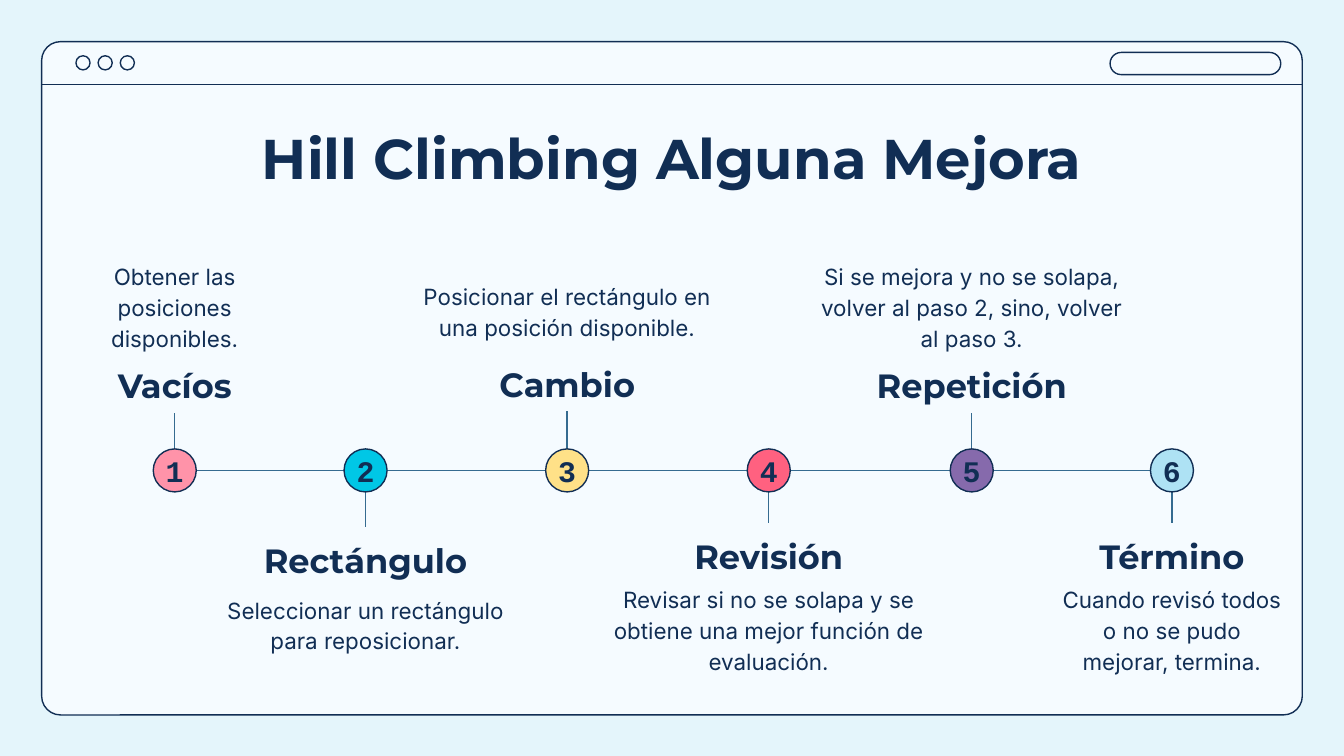
from lxml import etree
from pptx import Presentation
from pptx.dml.color import RGBColor
from pptx.enum.shapes import MSO_CONNECTOR, MSO_SHAPE
from pptx.enum.text import MSO_ANCHOR, MSO_AUTO_SIZE, PP_ALIGN
from pptx.oxml.ns import qn
from pptx.util import Inches, Pt

STRAIGHT = MSO_CONNECTOR.STRAIGHT
OVAL, ROUND = MSO_SHAPE.OVAL, MSO_SHAPE.ROUNDED_RECTANGLE
TOP, MIDDLE, BOTTOM = MSO_ANCHOR.TOP, MSO_ANCHOR.MIDDLE, MSO_ANCHOR.BOTTOM
CENTER, NO_FIT = PP_ALIGN.CENTER, MSO_AUTO_SIZE.NONE

COLUMNS = 100
WIDTH = Inches(10)
HEIGHT = WIDTH * 9 // 16
INK, LINK, PAPER, SKY = "112E54", "356B90", "F5FBFF", "E4F5FB"
HEADING, BODY, DIGIT = "Montserrat", "Inter", "Courier New"
NODE, DIGIT_BOX, NAME_W, NAME_H = 3.2, 3.6, 25.2, 5

STEPS = [
    (9.9, "FF93A9", "Vacíos", 4.3,
     "Obtener las posiciones disponibles.", 7.8, 18.4, 6.3),
    (24.1, "00C7E6", "Rectángulo", 4.2,
     "Seleccionar un rectángulo para reposicionar.", 8.1, 26.3, 6.3),
    (39.1, "FFE188", "Cambio", 4.4,
     "Posicionar el rectángulo en una posición disponible.", 8.6, 25.2, 6.3),
    (54.1, "FF6180", "Revisión", 3.9,
     "Revisar si no se solapa y se obtiene una mejor función de evaluación.",
     7.3, 25.2, 6.3),
    (69.2, "866AAC", "Repetición", 4.3,
     "Si se mejora y no se solapa, volver al paso 2, sino, volver al paso 3.",
     7.8, 25.2, 10.5),
    (84.1, "AEE2F4", "Término", 3.9,
     "Cuando revisó todos o no se pudo mejorar, termina.", 7.3, 18.4, 6.3),
]


def rgb(value):
    return RGBColor.from_string(value)


def grid(*cells):
    return [round(c * WIDTH / COLUMNS) for c in cells]


def write(sp, text, size, font, bold=False, anchor=TOP, spacing=1.0):
    tf = sp.text_frame
    tf.word_wrap = True
    tf.auto_size = NO_FIT
    tf.vertical_anchor = anchor
    tf.margin_left = tf.margin_right = tf.margin_top = tf.margin_bottom = Inches(0.1)
    p = tf.paragraphs[0]
    p.alignment = CENTER
    p.line_spacing = spacing
    r = p.add_run()
    r.text = text
    r.font.size = Pt(size)
    r.font.name = font
    r.font.bold = bold
    r.font.color.rgb = rgb(INK)


def shape(s, kind, box, fill=None):
    sp = s.shapes.add_shape(kind, *grid(*box))
    sp.shadow.inherit = False
    if fill:
        sp.fill.solid()
        sp.fill.fore_color.rgb = rgb(fill)
    else:
        sp.fill.background()
    sp.line.color.rgb = rgb(INK)
    sp.line.width = Pt(0.75)
    return sp


def line(s, start, end, color):
    c = s.shapes.add_connector(STRAIGHT, *grid(*start, *end))
    c.line.color.rgb = rgb(color)
    c.line.width = Pt(0.75)
    etree.SubElement(c._element.spPr, qn("a:effectLst"))
    return c


def label(s, box, *args, **style):
    sp = s.shapes.add_textbox(*grid(*box))
    write(sp, *args, **style)
    return sp


def window(s, box):
    x, y, w, h = box
    shape(s, ROUND, box, PAPER).adjustments[0] = 0.028
    for i in range(3):
        shape(s, OVAL, (x + 2.55 + 1.65 * i, y + 1.05, 1.05, 1.05))
    shape(s, ROUND, (x + w - 14.3, y + 0.8, 12.7, 1.65)).adjustments[0] = 0.5
    line(s, (x, y + 3.2), (x + w, y + 3.2), INK)


def heading(s, box, text):
    sp = s.shapes.title
    sp.element.getparent().append(sp.element)
    sp.left, sp.top, sp.width, sp.height = grid(*box)
    write(sp, text, 30, HEADING, bold=True)


def step(s, center, axis, number, above, fill, name, name_gap, text, text_gap, w, h):
    side = -1 if above else 1
    node_edge = axis + side * NODE / 2
    name_edge = axis + side * name_gap
    text_edge = axis + side * text_gap
    name_top = name_edge - NAME_H if above else name_edge
    text_top = text_edge - h if above else text_edge

    title = label(s, (center - NAME_W / 2, name_top, NAME_W, NAME_H), name, 18,
                  HEADING, bold=True, anchor=TOP if above else BOTTOM, spacing=1.15)
    label(s, (center - w / 2, text_top, w, h), text, 12, BODY,
          anchor=BOTTOM if above else TOP, spacing=1.15)
    stem = line(s, (center, node_edge), (center, name_edge), LINK)
    stem.end_connect(title, 2 if above else 0)
    shape(s, OVAL, (center - NODE / 2, axis - NODE / 2, NODE, NODE), fill)
    label(s, (center - DIGIT_BOX / 2, axis - DIGIT_BOX / 2, DIGIT_BOX, DIGIT_BOX),
          str(number), 16, DIGIT, bold=True, anchor=MIDDLE)


def timeline(s, box):
    x, y, w, h = box
    axis = y + h / 2
    centers = [x + row[0] for row in STEPS]
    for a, b in zip(centers, centers[1:]):
        line(s, (a + NODE / 2, axis), (b - NODE / 2, axis), LINK)
    for i, (center, row) in enumerate(zip(centers, STEPS)):
        step(s, center, axis, i + 1, i % 2 == 0, *row[1:])


def main():
    prs = Presentation()
    prs.slide_width, prs.slide_height = WIDTH, HEIGHT
    s = prs.slides.add_slide(prs.slide_layouts[5])
    s.background.fill.solid()
    s.background.fill.fore_color.rgb = rgb(SKY)
    window(s, (3.1, 3.1, 93.8, 50.1))
    heading(s, (7.85, 8.2, 84.3, 6.3), "Hill Climbing Alguna Mejora")
    timeline(s, (3.1, 16.5, 93.8, 37))
    prs.save("out.pptx")


if __name__ == "__main__":
    main()
